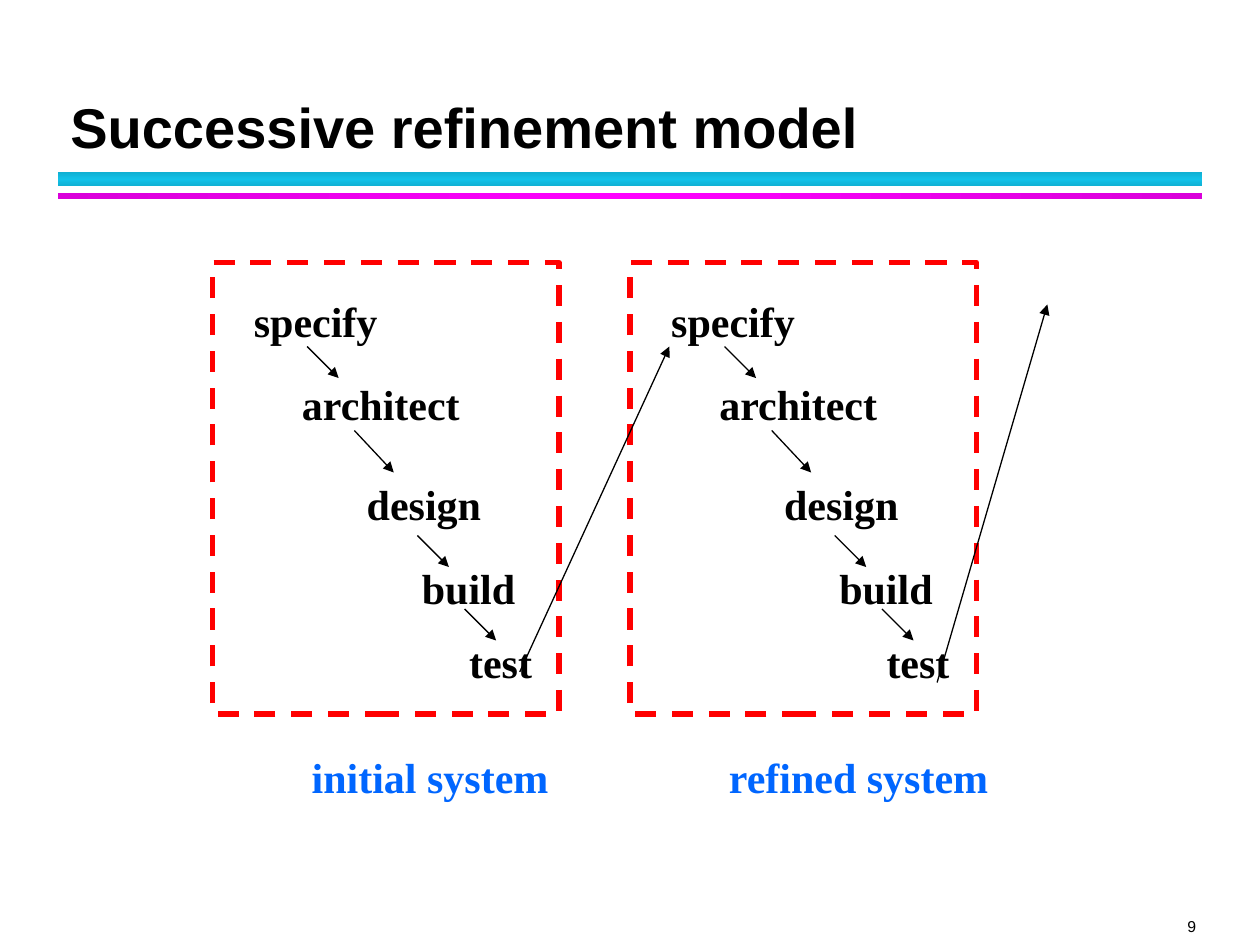
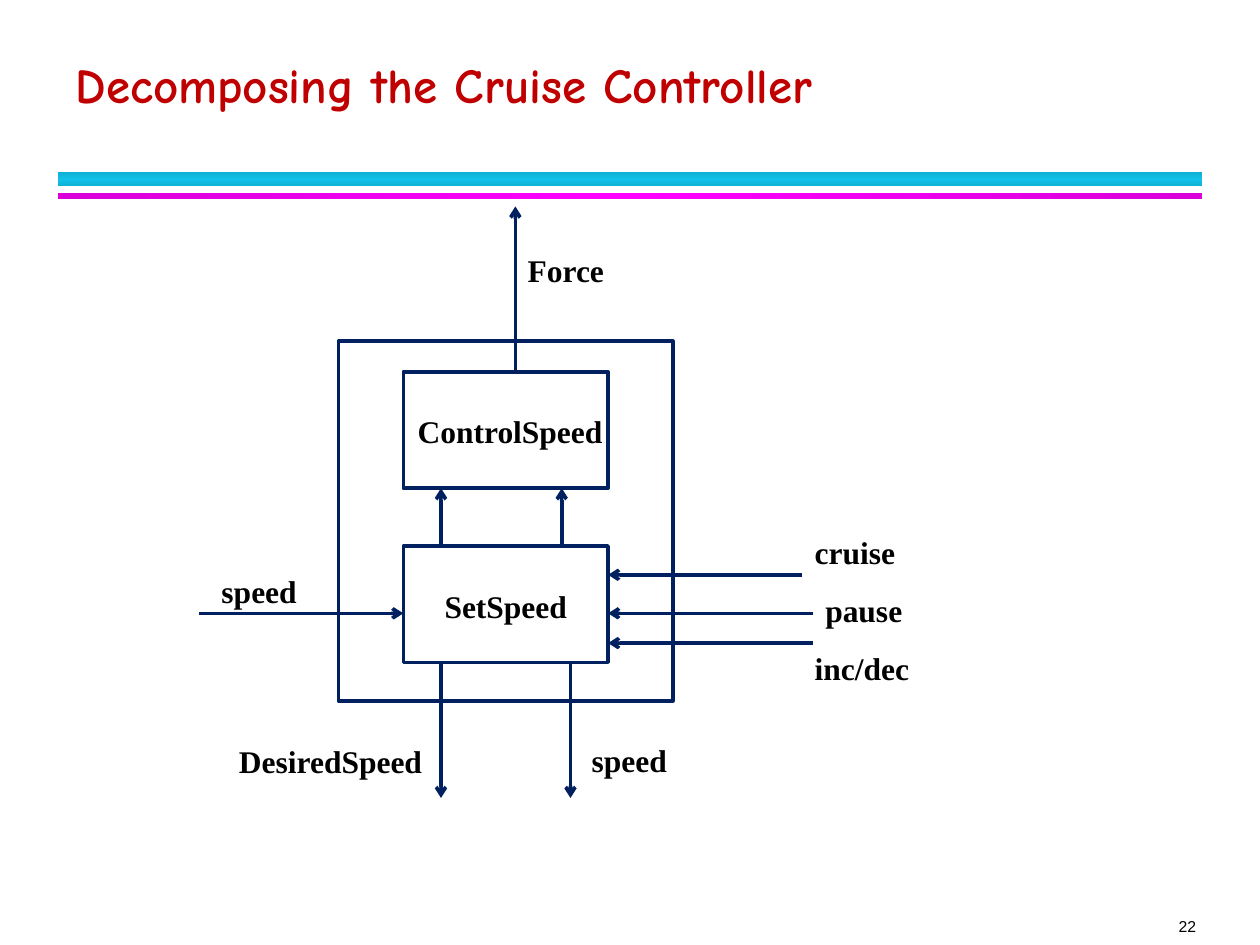
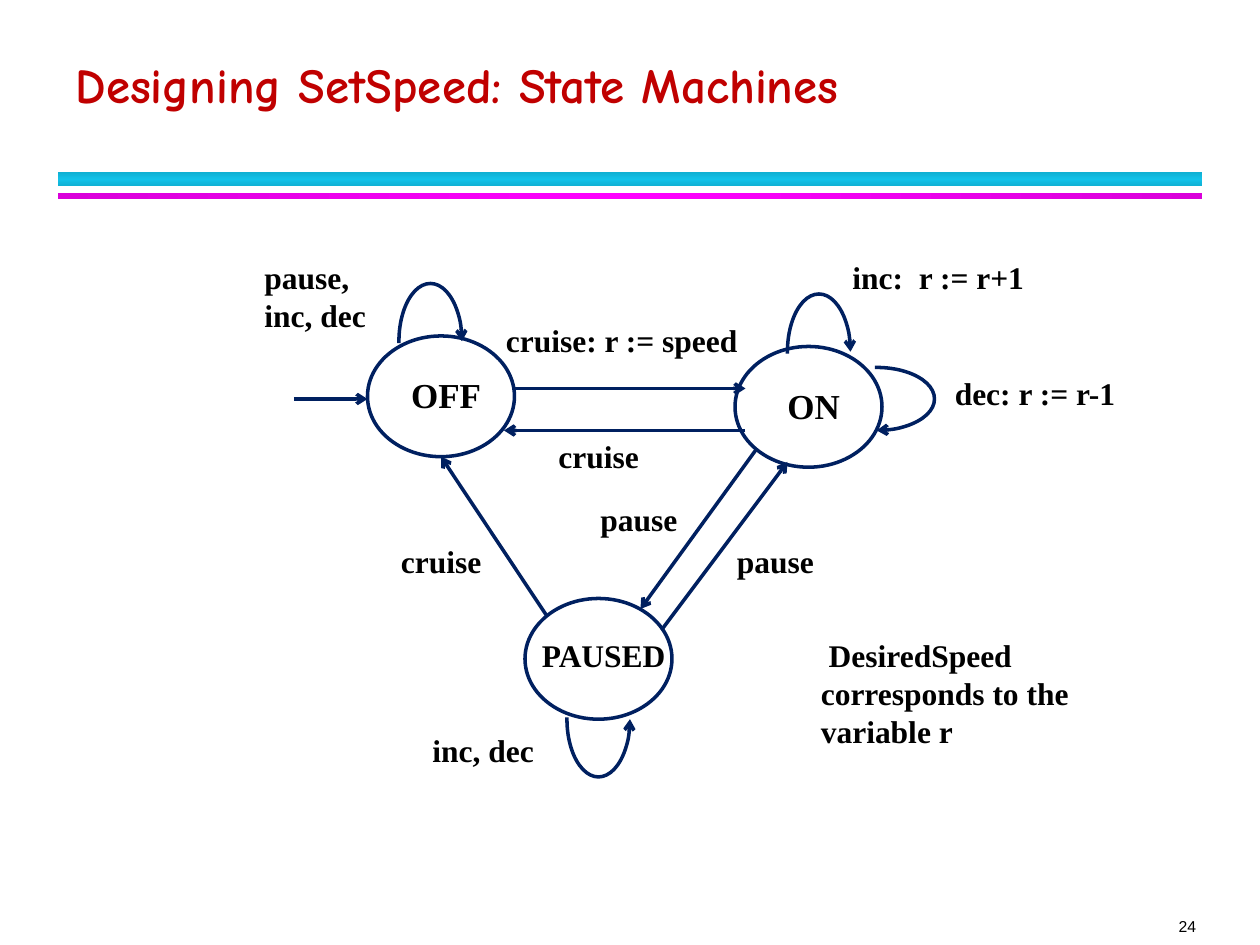
from copy import deepcopy
from dataclasses import dataclass

from lxml import etree
from pptx import Presentation
from pptx import util as u
from pptx.dml.color import RGBColor
from pptx.enum import dml, shapes, text
from pptx.oxml.ns import qn


@dataclass(frozen=True)
class Theme:
    black: str = "000000"
    navy: str = "002060"
    red: str = "FF0000"
    crimson: str = "C00000"
    blue: str = "0066FF"
    cyan: tuple = ("10B0D3", "12C2E9")
    magenta: tuple = ("DA00DA", "FF00FF")
    sans: str = "Arial"
    serif: str = "Times New Roman"
    comic: str = "Comic Neue"
    title_size: float = 32
    comic_title_size: float = 28
    step_size: float = 24
    state_size: float = 20
    label_size: float = 18
    number_size: float = 9
    thin: float = 0.75
    medium: float = 2
    thick: float = 3


THEME = Theme()
LEFT, CENTER, RIGHT = text.PP_ALIGN.LEFT, text.PP_ALIGN.CENTER, text.PP_ALIGN.RIGHT


def points(*lengths):
    return [u.Pt(length) for length in lengths]


def write_text(frame, content, *, size=THEME.label_size, font=THEME.serif,
               color=THEME.black, bold=True, align=LEFT, anchor=text.MSO_ANCHOR.TOP,
               wrap=True, line_spacing=None, first_indent=0):
    frame.word_wrap = wrap
    frame.auto_size = text.MSO_AUTO_SIZE.NONE
    frame.vertical_anchor = anchor
    paragraph = frame.paragraphs[0]
    paragraph.text = content
    paragraph.alignment = align
    if line_spacing:
        paragraph.line_spacing = u.Pt(line_spacing)
    if first_indent:
        paragraph._p.get_or_add_pPr().set("indent", str(u.Pt(first_indent)))
    paragraph.font.size = u.Pt(size)
    paragraph.font.name = font
    paragraph.font.bold = bold
    paragraph.font.color.rgb = RGBColor.from_string(color)


def add_text(slide, content, left, top, width, height=29, **text_format):
    box = slide.shapes.add_textbox(*points(left, top, width, height))
    write_text(box.text_frame, content, **text_format)
    return box


def style_line(shape, color, width, end=None, arrowhead="arrow"):
    """Colour the line; end is "headEnd" or "tailEnd" where it carries an arrowhead."""
    shape.line.color.rgb = RGBColor.from_string(color)
    shape.line.width = u.Pt(width)
    if end:
        line = shape.element.spPr.find(qn("a:ln"))
        etree.SubElement(line, qn(f"a:{end}"), type=arrowhead)


def add_arrow(slide, start, finish, color=THEME.navy, width=THEME.medium, arrowhead="arrow"):
    connector = slide.shapes.add_connector(
        shapes.MSO_CONNECTOR.STRAIGHT, *points(*start, *finish))
    style_line(connector, color, width, "tailEnd", arrowhead)
    etree.SubElement(connector.element.spPr, qn("a:effectLst"))


def add_thin_arrow(slide, start, finish):
    add_arrow(slide, start, finish, THEME.black, THEME.thin, "triangle")


def add_outline(slide, kind, left, top, width, height,
                color=THEME.navy, line_width=THEME.medium, end=None):
    shape = slide.shapes.add_shape(kind, *points(left, top, width, height))
    shape.shadow.inherit = False
    shape.fill.background()
    style_line(shape, color, line_width, end)
    return shape


def add_loop(slide, left, top, rotation=0, below=False):
    """Half-ellipse arrow from a state back to itself."""
    loop = add_outline(slide, shapes.MSO_SHAPE.ARC, left, top, 36, 66,
                       end="headEnd" if below else "tailEnd")
    start, finish = (0, 110.08) if below else (105.92, 0)
    loop.adjustments[0] = start
    loop.adjustments[1] = finish
    loop.rotation = rotation


def add_band(slide, top, height, colors, angle):
    """Gradient rule placed on the slide's layout, so every slide shows it."""
    edge, middle = colors
    band = slide.shapes.add_shape(
        shapes.MSO_SHAPE.RECTANGLE, *points(33, top, 654, height))
    band.shadow.inherit = False
    band.line.fill.background()
    band.fill.gradient()
    band.fill.gradient_angle = angle
    stops = band.element.spPr.find(".//" + qn("a:gsLst"))
    stops.append(deepcopy(stops[0]))
    for stop, position, color in zip(band.fill.gradient_stops, (0, 0.5, 1), (edge, middle, edge)):
        stop.position = position
        stop.color.rgb = RGBColor.from_string(color)
    slide.slide_layout.shapes.element.append(band.element)


def add_slide(presentation, title, number, place, size, font, color):
    slide = presentation.slides.add_slide(presentation.slide_layouts[5])
    heading = slide.shapes.title
    heading.left, heading.top, heading.width, heading.height = points(*place)
    write_text(heading.text_frame, title, size=size, font=font, color=color,
               anchor=text.MSO_ANCHOR.BOTTOM, line_spacing=36)
    number_box = add_text(slide, str(number), 630.5, 523.5, 53, 11, size=THEME.number_size,
                          font=THEME.sans, bold=False, align=RIGHT,
                          anchor=text.MSO_ANCHOR.BOTTOM)
    frame = number_box.text_frame
    frame.margin_left = frame.margin_top = frame.margin_right = frame.margin_bottom = 0
    return slide


def add_comic_slide(presentation, title, number):
    return add_slide(presentation, title, number, (36, 12, 648, 56.5),
                     THEME.comic_title_size, THEME.comic, THEME.crimson)


def add_system(slide, caption, caption_width, shift):
    """One pass through the development steps, moved right by shift."""
    steps = [("specify", 138, 165.5, 86), ("architect", 165.5, 213, 105),
             ("design", 202.5, 270, 80.5), ("build", 234, 318, 68.5), ("test", 261, 360, 51)]
    for step, left, top, width in steps:
        add_text(slide, step, left + shift, top, width, 36, size=THEME.step_size, wrap=False)
    step_arrows = [(175.5, 198, 18, 18), (202.5, 246, 22.5, 24),
                   (238.5, 306, 18, 18), (265.5, 348, 18, 18)]
    for left, top, across, down in step_arrows:
        left += shift
        add_thin_arrow(slide, (left, top), (left + across, top + down))
    border = add_outline(slide, shapes.MSO_SHAPE.RECTANGLE, 121.5 + shift, 150, 198, 258,
                         THEME.red, THEME.thick)
    border.line.dash_style = dml.MSO_LINE.DASH
    add_text(slide, caption, 171 + shift, 426, caption_width, 36,
             size=THEME.step_size, color=THEME.blue, wrap=False)


def build_refinement(presentation):
    slide = add_slide(presentation, "Successive refinement model", 9, (33, 24, 652.5, 71),
                      THEME.title_size, THEME.sans, THEME.black)
    add_band(slide, 98.5, 8, THEME.cyan, 90)
    add_band(slide, 110.25, 3.5, THEME.magenta, 0)
    add_system(slide, "initial system", 151, 0)
    add_system(slide, "refined system", 164, 238.5)
    add_thin_arrow(slide, (297, 384), (382.5, 198))
    add_thin_arrow(slide, (535.5, 390), (598.5, 174))


def build_cruise_controller(presentation):
    slide = add_comic_slide(presentation, "Decomposing the Cruise Controller", 22)
    block_left, block_width, block_height = 230.5, 117, 66.5
    block_right = block_left + block_width
    control_top, set_top = 212.5, 312
    control_bottom, set_bottom = control_top + block_height, set_top + block_height

    add_outline(slide, shapes.MSO_SHAPE.RECTANGLE, 193.5, 195, 191, 205.5)
    for top in (control_top, set_top):
        add_outline(slide, shapes.MSO_SHAPE.RECTANGLE, block_left, top, block_width, block_height)
    add_text(slide, "ControlSpeed", 227.5, 232, 128, align=CENTER)
    add_text(slide, "SetSpeed", 241, 332, 96, align=CENTER)

    for start, y in ((458.5, 328.5), (464.5, 350.5), (464.5, 367.5)):
        add_arrow(slide, (start, y), (block_right, y))
    add_arrow(slide, (114, 350.5), (block_left, 350.5))
    for x in (252, 326):
        add_arrow(slide, (x, set_bottom), (x, 456))
    for x in (252, 321):
        add_arrow(slide, (x, set_top), (x, control_bottom))
    add_arrow(slide, (294.5, control_top), (294.5, 118))

    signals = [("cruise", 458.5, 301, 80), ("pause", 464.5, 334, 116.5),
               ("inc/dec", 458.5, 367.5, 80), ("speed", 119.5, 323.5, 80),
               ("speed", 331, 420, 80), ("DesiredSpeed", 129.5, 420.5, 127.5),
               ("Force", 294.5, 140, 80)]
    for signal, left, top, width in signals:
        add_text(slide, signal, left, top, width)


def build_state_machine(presentation):
    slide = add_comic_slide(presentation, "Designing SetSpeed: State Machines", 24)
    states = [("OFF", 210, 192, 12, 66, THEME.state_size),
              ("ON", 420, 198, 12, 66, THEME.state_size),
              ("PAUSED", 300, 342, 0, 90, THEME.label_size)]
    for state, left, top, inset, width, size in states:
        add_outline(slide, shapes.MSO_SHAPE.OVAL, left, top, 84, 69)
        add_text(slide, state, left + inset, top + 18, width, 31.5, size=size, align=CENTER)

    add_loop(slide, 228, 162)
    add_loop(slide, 450, 168)
    add_loop(slide, 483, 195, rotation=90)
    add_loop(slide, 324, 378, below=True)

    transitions = [((168, 228), (210, 228)), ((294, 222), (426, 222)),
                   ((426, 246), (288, 246)), ((432, 257), (366, 348)),
                   ((378, 360), (450, 264)), ((312.5, 352), (252, 261))]
    for start, finish in transitions:
        add_arrow(slide, start, finish)

    labels = [("pause, inc, dec", 144, 144, 90), ("cruise: r := speed", 282, 180, 168),
              ("cruise", 312, 246, 90), ("pause", 336, 282, 90), ("pause", 414, 306, 90),
              ("cruise", 222, 306, 90), ("inc:  r := r+1", 480, 144, 204),
              ("dec: r := r-1", 538.5, 210, 139.5), ("inc, dec", 240, 414, 102)]
    for label, left, top, width in labels:
        add_text(slide, label, left, top, width)
    add_text(slide, "DesiredSpeed corresponds to the variable r", 462, 360, 216, 51,
             first_indent=4.5)


def main():
    presentation = Presentation()
    presentation.slide_width, presentation.slide_height = points(720, 540)
    build_refinement(presentation)
    build_cruise_controller(presentation)
    build_state_machine(presentation)
    presentation.save("out.pptx")


if __name__ == "__main__":
    main()
